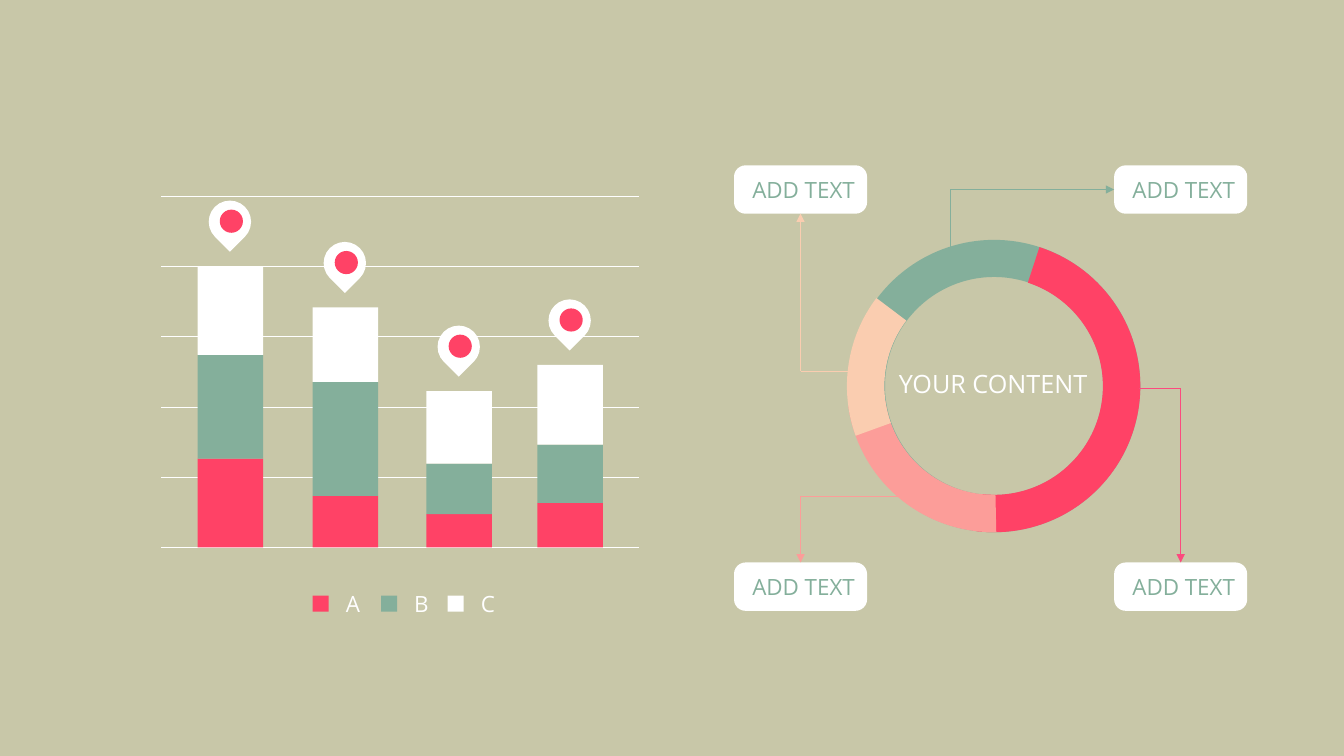
from lxml import etree
from pptx import Presentation
from pptx.dml.color import RGBColor
from pptx.enum.shapes import MSO_CONNECTOR, MSO_SHAPE as Preset
from pptx.enum.text import MSO_ANCHOR, PP_ALIGN
from pptx.oxml.ns import qn
from pptx.util import Inches, Pt

RED, GREEN, WHITE = "FF4266", "84AF9B", "FFFFFF"
PINK, PEACH, MAGENTA, SAND = "FC9D99", "FACDB0", "FC4A7E", "C8C7A8"
TOP, LEFT, BOTTOM = 0, 1, 2


def color(hex_code):
    return RGBColor.from_string(hex_code)


class SlideBuilder:
    font_name = "Open Sans"
    line_width = Pt(0.5)

    def __init__(self, page):
        self.page = page

    def background(self, hex_code):
        fill = self.page.background.fill
        fill.solid()
        fill.fore_color.rgb = color(hex_code)

    def shape(self, preset, x, y, width, height, fill, adjust=(), rotation=0):
        shape = self.page.shapes.add_shape(
            preset, Inches(x), Inches(y), Inches(width), Inches(height))
        shape.shadow.inherit = False
        shape.fill.solid()
        shape.fill.fore_color.rgb = color(fill)
        shape.line.fill.background()
        shape.rotation = rotation
        for index, value in enumerate(adjust):
            shape.adjustments[index] = value
        return shape

    def set_text(self, shape, text, size, hex_code, left_inset=0):
        """Set one centred line of text inside a shape or text box."""
        frame = shape.text_frame
        frame.word_wrap = True
        frame.vertical_anchor = MSO_ANCHOR.MIDDLE
        frame.margin_left = Inches(left_inset)
        frame.margin_right = frame.margin_top = frame.margin_bottom = 0
        para = frame.paragraphs[0]
        para.text = text
        para.alignment = PP_ALIGN.CENTER
        para.font.name = self.font_name
        para.font.size = Pt(size)
        para.font.color.rgb = color(hex_code)

    def text(self, x, y, width, height, text, size, hex_code):
        box = self.page.shapes.add_textbox(
            Inches(x), Inches(y), Inches(width), Inches(height))
        self.set_text(box, text, size, hex_code)

    def label(self, x, y):
        label = self.shape(Preset.ROUNDED_RECTANGLE, x, y, 1.32, 0.48, WHITE, [0.238])
        self.set_text(label, "ADD TEXT", 16, GREEN, left_inset=0.06)
        return label

    def line(self, start, end, hex_code):
        line = self.page.shapes.add_connector(
            MSO_CONNECTOR.STRAIGHT, *map(Inches, start + end))
        line.line.color.rgb = color(hex_code)
        line.line.width = self.line_width
        etree.SubElement(line._element.spPr, qn("a:effectLst"))
        return line

    def callout(self, start, corner, end, hex_code, label, side):
        """Lead from the ring round a corner to an arrowhead on a label."""
        self.line(start, corner, hex_code)
        arrow = self.line(corner, end, hex_code)
        arrow.end_connect(label, side)
        outline = arrow._element.spPr.find(qn("a:ln"))
        etree.SubElement(outline, qn("a:tailEnd"), type="triangle")


def draw_ring(builder):
    ring_y, ring_size = 2.38, 2.9
    builder.text(8.7, 3.6, 2.3, 0.4, "YOUR CONTENT", 18, WHITE)
    builder.shape(Preset.DONUT, 8.41, ring_y, ring_size, ring_size, GREEN, [0.127])
    for x, start_angle, rotation, fill in (
            (8.41, 1.84, 285, RED), (8.4, 53.248, 0, PINK), (8.4, 69.075, 45, PEACH)):
        builder.shape(Preset.BLOCK_ARC, x, ring_y, ring_size, ring_size, fill,
                      [start_angle, 103.216, 0.128], rotation)

    left_x, right_x, upper_y, lower_y = 7.28, 11.05, 1.64, 5.58
    left_middle, right_middle = left_x + 0.66, right_x + 0.66
    upper_middle, upper_bottom = upper_y + 0.24, upper_y + 0.48
    upper_left, upper_right, lower_left, lower_right = [
        builder.label(x, y) for y in (upper_y, lower_y) for x in (left_x, right_x)]

    builder.callout((9.43, 2.48), (9.43, upper_middle), (right_x, upper_middle),
                    GREEN, upper_right, LEFT)
    builder.callout((8.41, 3.68), (left_middle, 3.68), (left_middle, upper_bottom),
                    PEACH, upper_left, BOTTOM)
    builder.callout((8.92, 4.92), (left_middle, 4.92), (left_middle, lower_y),
                    PINK, lower_left, TOP)
    builder.callout((11.3, 3.85), (right_middle, 3.85), (right_middle, lower_y),
                    MAGENTA, lower_right, TOP)


def draw_bars(builder):
    top, base, grid_steps = 1.95, 5.43, 5
    for step in range(grid_steps + 1):
        y = top + step * (base - top) / grid_steps
        builder.line((1.6, y), (6.34, y), WHITE)

    bars = {1.96: (0.88, 1.03, 0.88), 3.1: (0.51, 1.13, 0.74),
            4.23: (0.33, 0.5, 0.72), 5.33: (0.44, 0.58, 0.79)}
    for x, heights in bars.items():
        y = base
        for height, fill in zip(heights, (RED, GREEN, WHITE)):
            y -= height
            builder.shape(Preset.RECTANGLE, x, y, 0.65, height, fill)
        pin_x, pin_y = x + 0.11, y - 0.65
        builder.shape(Preset.TEAR, pin_x, pin_y, 0.42, 0.42, WHITE, rotation=135)
        builder.shape(Preset.OVAL, pin_x + 0.11, pin_y + 0.09, 0.23, 0.23, RED)

    for x, name, fill in ((3.1, "A", RED), (3.78, "B", GREEN), (4.44, "C", WHITE)):
        builder.shape(Preset.RECTANGLE, x, 5.91, 0.16, 0.16, fill)
        builder.text(x + 0.25, 5.8, 0.3, 0.37, name, 16, WHITE)


def main():
    deck = Presentation()
    deck.slide_width, deck.slide_height = Inches(13.33), Inches(7.5)
    blank_layout = deck.slide_layouts[6]
    builder = SlideBuilder(deck.slides.add_slide(blank_layout))
    builder.background(SAND)
    draw_ring(builder)
    draw_bars(builder)
    deck.save("out.pptx")


if __name__ == "__main__":
    main()
